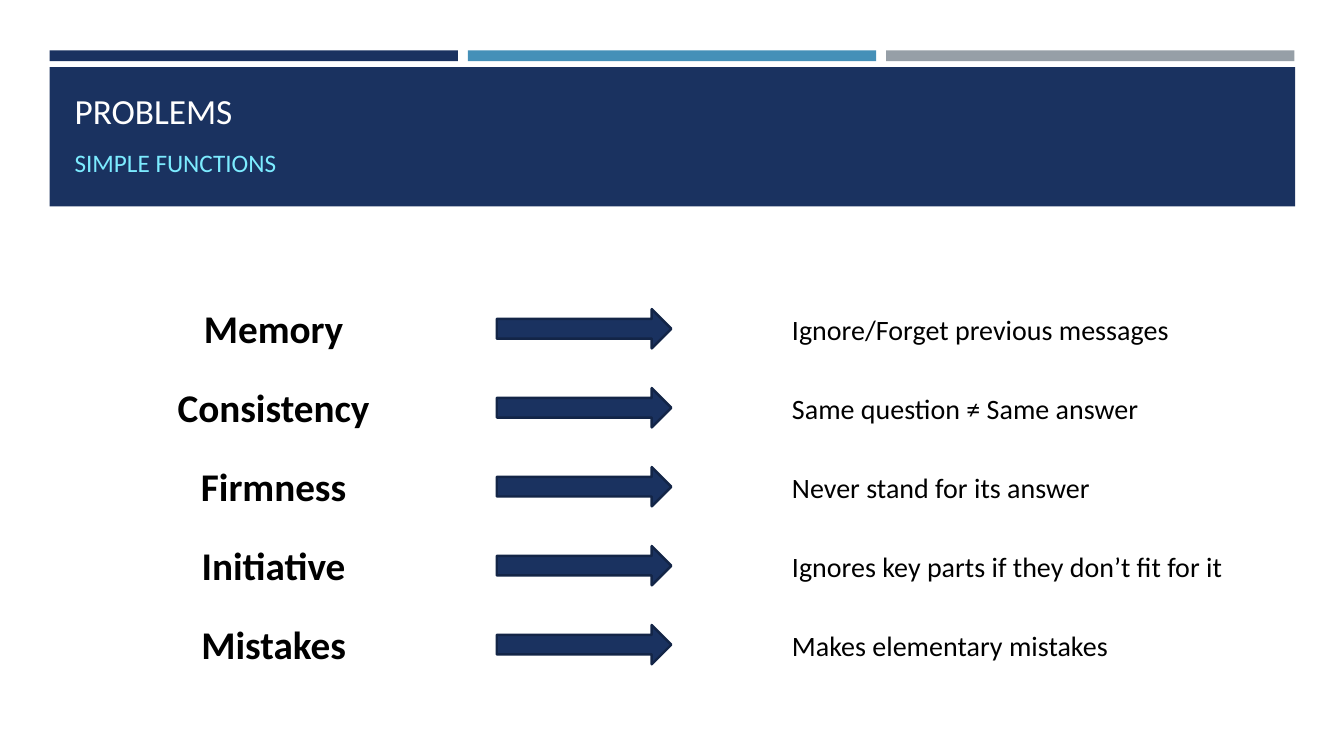
"""Build a slide that pairs each problem with its explanation."""
from pptx import Presentation
from pptx.dml.color import RGBColor
from pptx.enum.shapes import MSO_SHAPE
from pptx.enum.text import MSO_ANCHOR, PP_ALIGN
from pptx.util import Cm, Pt

RECTANGLE, ARROW = MSO_SHAPE.RECTANGLE, MSO_SHAPE.RIGHT_ARROW
LEFT, CENTER = PP_ALIGN.LEFT, PP_ALIGN.CENTER
TOP, MIDDLE, BOTTOM = MSO_ANCHOR.TOP, MSO_ANCHOR.MIDDLE, MSO_ANCHOR.BOTTOM

TITLE = "PROBLEMS"
SUBTITLE = "SIMPLE FUNCTIONS"
PROBLEMS = [
    ("Memory", "Ignore/Forget previous messages"),
    ("Consistency", "Same question ≠ Same answer"),
    ("Firmness", "Never stand for its answer"),
    ("Initiative", "Ignores key parts if they don’t fit for it"),
    ("Mistakes", "Makes elementary mistakes"),
]
NAVY, OUTLINE, WHITE, BLACK, CYAN = "1A3260", "132547", "FFFFFF", "000000", "7CEBFF"
BAR_COLORS = [NAVY, "4590B8", "969FA7"]
FONT = "Calibri"
MARGIN = 1.25
BAR_WIDTH, BAR_PITCH = 10.29, 10.54
ROW_TOP, ROW_PITCH = 7.55, 1.99


def color(value):
    return RGBColor.from_string(value)


def add_block(page, kind, left, top, width, height, fill, line=None):
    block = page.shapes.add_shape(kind, Cm(left), Cm(top), Cm(width), Cm(height))
    block.shadow.inherit = False
    block.fill.solid()
    block.fill.fore_color.rgb = color(fill)
    if line:
        block.line.color.rgb = color(line)
        block.line.width = Pt(1.75)
    else:
        block.line.fill.background()


def add_text(page, text, left, top, width, height, size, ink,
             bold=False, align=LEFT, anchor=TOP, level=0):
    box = page.shapes.add_textbox(Cm(left), Cm(top), Cm(width), Cm(height))
    frame = box.text_frame
    frame.word_wrap = True
    frame.vertical_anchor = anchor
    para = frame.paragraphs[0]
    para.text = text
    para.alignment = align
    para.level = level
    para.font.name = FONT
    para.font.size = Pt(size)
    para.font.bold = bold
    para.font.color.rgb = color(ink)


def main():
    deck = Presentation()
    deck.slide_width, deck.slide_height = Cm(33.87), Cm(19.05)
    page = deck.slides.add_slide(deck.slide_layouts[6])

    for index, fill in enumerate(BAR_COLORS):
        add_block(page, RECTANGLE, MARGIN + index * BAR_PITCH, 1.27, BAR_WIDTH, 0.27, fill)
    add_block(page, RECTANGLE, MARGIN, 1.69, 31.39, 3.51, NAVY)
    add_text(page, TITLE, 1.63, 2.03, 30.63, 1.4, 25.2, WHITE, anchor=BOTTOM)
    add_text(page, SUBTITLE, 1.63, 3.43, 30.53, 1.35, 18, CYAN, anchor=MIDDLE)

    for index, (problem, explanation) in enumerate(PROBLEMS):
        top = ROW_TOP + index * ROW_PITCH
        add_text(page, problem, 2.97, top, 7.85, 1.45, 28, BLACK, bold=True, align=CENTER)
        add_block(page, ARROW, 12.52, top + 0.24, 4.4, 0.99, NAVY, OUTLINE)
        add_text(page, explanation, 18.44, top + 0.2, 12.98, 1.12, 20, BLACK,
                 anchor=MIDDLE, level=1)

    deck.save("out.pptx")


if __name__ == "__main__":
    main()
